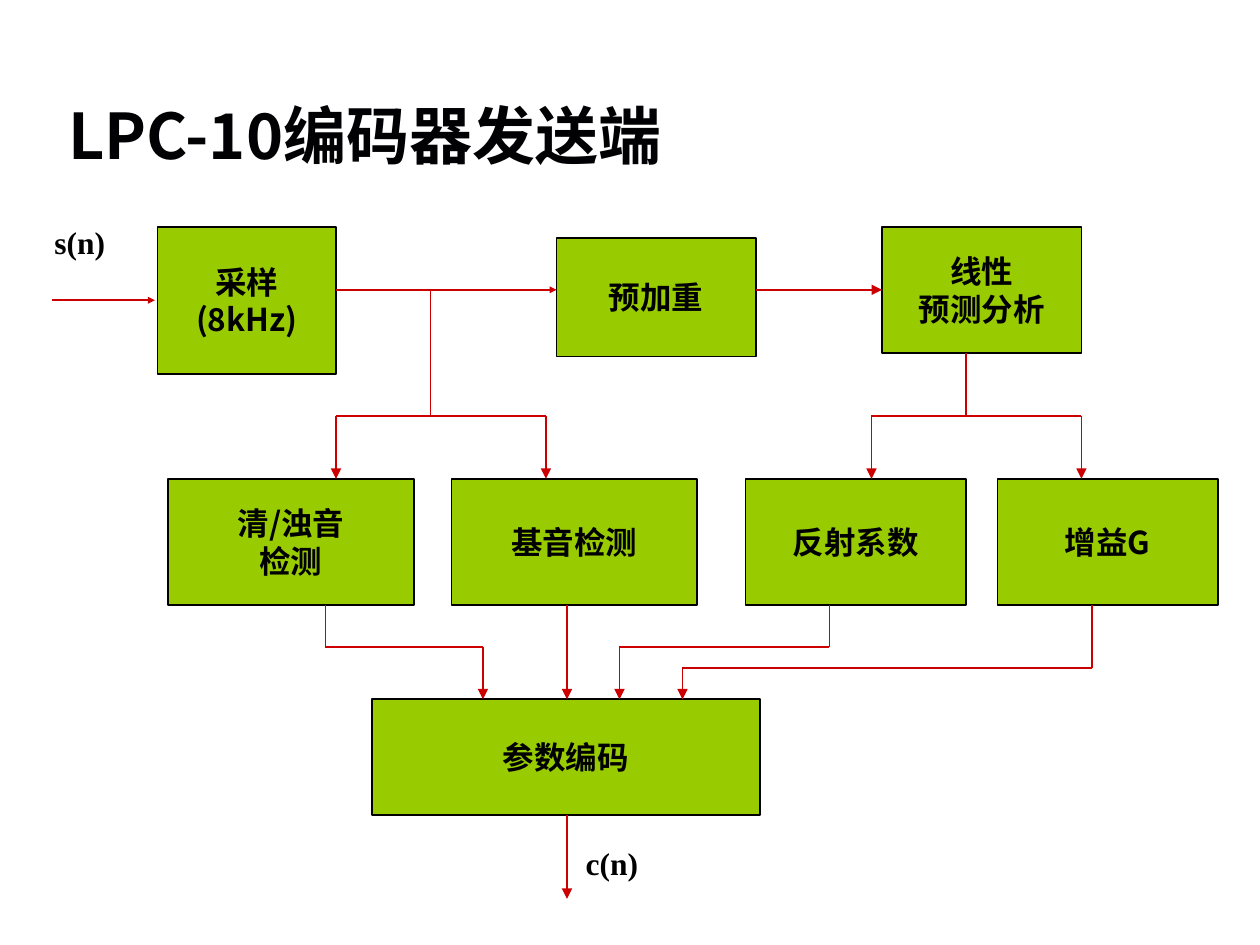
from itertools import pairwise

from lxml.etree import SubElement
from pptx import Presentation
from pptx.dml.color import RGBColor
from pptx.enum.shapes import MSO_CONNECTOR, MSO_SHAPE
from pptx.enum.text import MSO_ANCHOR, PP_ALIGN
from pptx.oxml.ns import qn
from pptx.util import Pt

COLORS = {"box": "99CC00", "ink": "000000", "title": "010103", "arrow": "CC0000"}
SANS, SERIF = "Noto Sans CJK SC", "Times New Roman"

# Levels of the diagram, from top to bottom
SIGNAL, SPLIT, DETECT, DETECT_END = 165.6, 237.6, 273.6, 345.6
MERGE, GAIN_MERGE, CODING, CODING_END, OUTPUT = 369.6, 381.6, 399.6, 465.6, 513.6

BOXES = [  # text, left, top, width, height
    ("采样\n(8kHz)", 90, 129.6, 102, 84),
    ("预加重", 318, 135.8, 114, 68),
    ("线性\n预测分析", 504, 129.6, 114, 72),
    ("清/浊音\n检测", 96, DETECT, 140.4, 72),
    ("基音检测", 258, DETECT, 140.4, 72),
    ("反射系数", 426, DETECT, 126, 72),
    ("增益G", 570, DETECT, 126, 72),
    ("参数编码", 212.4, CODING, 222, 66),
]

ROUTES = [  # corner points, arrowhead size
    ([(30, 171.6), (88.5, 171.6)], "sm"),
    ([(192, SIGNAL), (318, SIGNAL)], "sm"),
    ([(432, SIGNAL), (504, SIGNAL)], "med"),
    ([(186, DETECT_END), (186, MERGE), (276, MERGE), (276, CODING)], "med"),
    ([(324, DETECT_END), (324, CODING)], "med"),
    ([(474, DETECT_END), (474, MERGE), (354, MERGE), (354, CODING)], "med"),
    ([(624, DETECT_END), (624, GAIN_MERGE), (390, GAIN_MERGE), (390, CODING)], "med"),
    ([(324, CODING_END), (324, OUTPUT)], "med"),
]

FORKS = [  # stem x, stem top, left branch x, right branch x
    (246, SIGNAL, 192, 312),
    (552, 201.6, 498, 618),
]


def rgb(name):
    """Return a named colour."""
    return RGBColor.from_string(COLORS[name])


def write(tf, text, size=18, font=SANS, color="ink", align=PP_ALIGN.LEFT, **frame):
    """Write bold text, one paragraph a line, and format its frame."""
    for name, value in frame.items():
        setattr(tf, name, value)
    tf.text = text
    for p in tf.paragraphs:
        p.alignment = align
        for r in p.runs:
            for name, value in {"size": Pt(size), "name": font, "bold": True}.items():
                setattr(r.font, name, value)
            r.font.color.rgb = rgb(color)
            SubElement(r.font._element, qn("a:ea"), typeface=font)


def add_title(s, text):
    """Fill and place the title placeholder."""
    sp = s.shapes.title
    place = {"left": 24, "top": 51.8, "width": 378, "height": 50.4}
    for name, value in place.items():
        setattr(sp, name, Pt(value))
    write(sp.text_frame, text, 36, color="title", margin_left=Pt(15),
          vertical_anchor=MSO_ANCHOR.MIDDLE, word_wrap=False)


def add_label(s, text, left, top):
    """Add the name of a signal."""
    sp = s.shapes.add_textbox(Pt(left), Pt(top), Pt(72), Pt(28.8))
    write(sp.text_frame, text, font=SERIF, word_wrap=True)


def add_box(s, text, *place):
    """Add one processing step."""
    sp = s.shapes.add_shape(MSO_SHAPE.RECTANGLE, *map(Pt, place))
    sp.shadow.inherit = False
    sp.fill.solid()
    sp.fill.fore_color.rgb = rgb("box")
    sp.line.color.rgb = rgb("ink")
    sp.line.width = Pt(1)
    write(sp.text_frame, text, align=PP_ALIGN.CENTER,
          vertical_anchor=MSO_ANCHOR.MIDDLE, word_wrap=False)


def add_line(s, start, end, head=None):
    """Add a straight line, with an arrowhead of the given size at its end."""
    line = s.shapes.add_connector(MSO_CONNECTOR.STRAIGHT, *map(Pt, (*start, *end)))
    line.line.color.rgb = rgb("arrow")
    line.line.width = Pt(1)
    if head:
        SubElement(line.line._get_or_add_ln(), qn("a:tailEnd"),
                   type="triangle", w=head, len=head)
    SubElement(line._element.spPr, qn("a:effectLst"))


def add_route(s, points, head):
    """Join corner points by lines; the last line has the arrowhead."""
    for start, end in pairwise(points):
        add_line(s, start, end, head if end == points[-1] else None)


def add_fork(s, stem, top, left, right):
    """Split a signal into two arrows to the detection row."""
    add_line(s, (stem, top), (stem, SPLIT))
    add_line(s, (left, SPLIT), (right, SPLIT))
    for x in (left, right):
        add_line(s, (x, SPLIT), (x, DETECT), "med")


def main():
    """Build the block diagram of the encoder."""
    prs = Presentation()
    prs.slide_width, prs.slide_height = Pt(720), Pt(540)
    s = prs.slides.add_slide(prs.slide_layouts[5])
    add_title(s, "LPC-10编码器发送端")
    for box in BOXES:
        add_box(s, *box)
    for route in ROUTES:
        add_route(s, *route)
    for fork in FORKS:
        add_fork(s, *fork)
    add_label(s, "s(n)", 24, 123.8)
    add_label(s, "c(n)", 327.6, 478.8)
    prs.save("out.pptx")


main()
